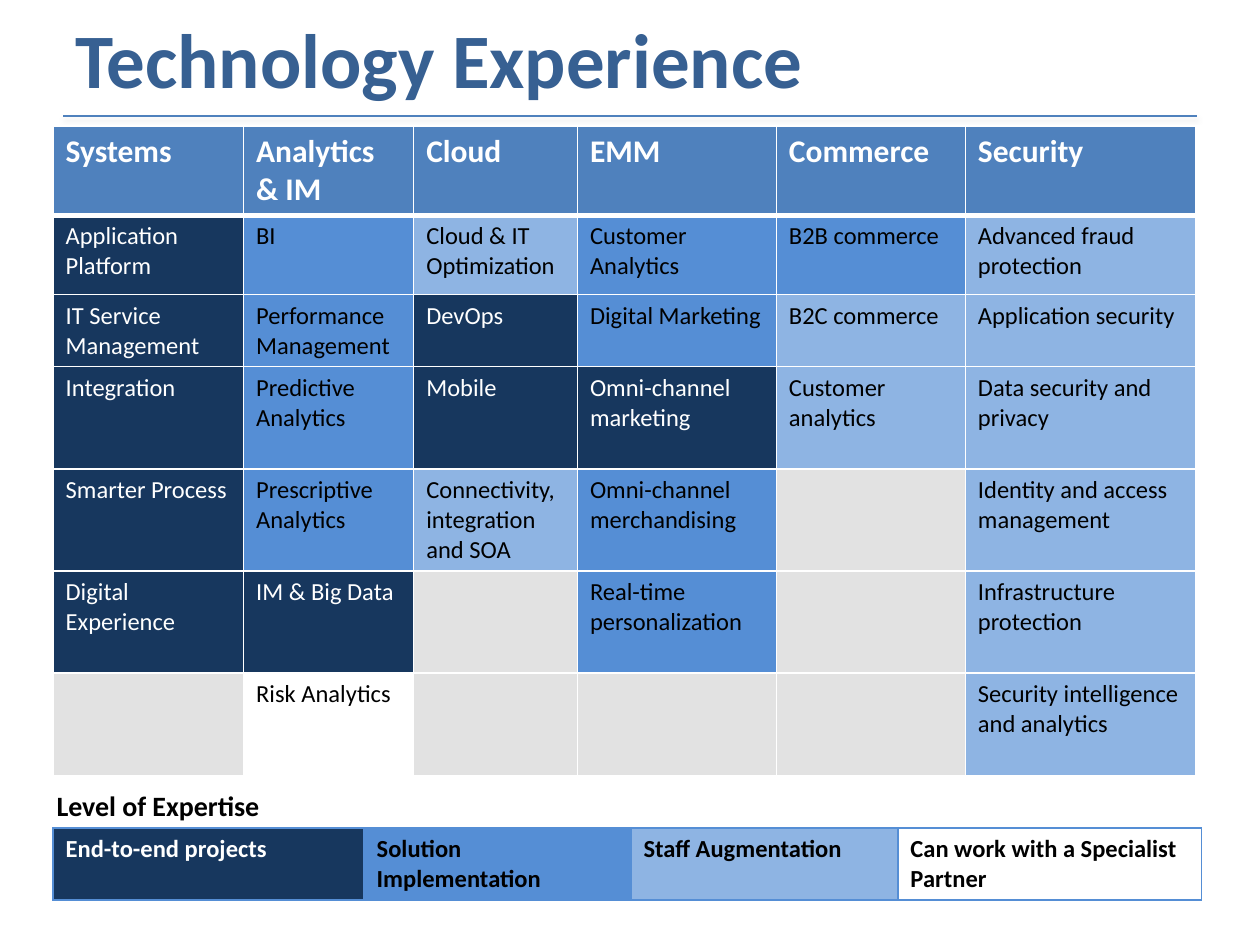
"""Build the Technology Experience slide with its expertise matrix and legend."""
from lxml.etree import SubElement
from pptx import Presentation
from pptx.dml.color import RGBColor
from pptx.enum.shapes import MSO_CONNECTOR
from pptx.enum.text import MSO_ANCHOR, MSO_AUTO_SIZE
from pptx.oxml.ns import qn
from pptx.util import Cm, Pt

COLOURS = {
    "title": "376092",
    "rule": "4F81BD",
    "header": "4F81BD",
    "project": "17375E",
    "solution": "558ED5",
    "staff": "8EB4E3",
    "partner": "FFFFFF",
    "empty": "E2E2E2",
    "white": "FFFFFF",
    "black": "000000",
}
LIGHT_TEXT = ("header", "project")

HEADINGS = ["Systems", "Analytics & IM", "Cloud", "EMM", "Commerce", "Security"]
SKILLS = [
    [("Application Platform", "project"), ("BI", "solution"),
     ("Cloud & IT Optimization", "staff"), ("Customer Analytics", "solution"),
     ("B2B commerce", "solution"), ("Advanced fraud protection", "staff")],
    [("IT Service Management", "project"), ("Performance Management", "solution"),
     ("DevOps", "project"), ("Digital Marketing", "solution"),
     ("B2C commerce", "staff"), ("Application security", "staff")],
    [("Integration", "project"), ("Predictive Analytics", "solution"),
     ("Mobile", "project"), ("Omni-channel marketing", "project"),
     ("Customer analytics", "staff"), ("Data security and privacy", "staff")],
    [("Smarter Process", "project"), ("Prescriptive Analytics", "solution"),
     ("Connectivity, integration and SOA", "staff"),
     ("Omni-channel merchandising", "solution"),
     ("", "empty"), ("Identity and access management", "staff")],
    [("Digital Experience", "project"), ("IM & Big Data", "project"),
     ("", "empty"), ("Real-time personalization", "solution"),
     ("", "empty"), ("Infrastructure protection", "staff")],
    [("", "empty"), ("Risk Analytics", "partner"), ("", "empty"),
     ("", "empty"), ("", "empty"), ("Security intelligence and analytics", "staff")],
]
LEGEND = [
    ("End-to-end projects", "project"),
    ("Solution Implementation", "solution"),
    ("Staff Augmentation", "staff"),
    ("Can work with a Specialist Partner", "partner"),
]
TABLES = [
    {
        "rows": [[(heading, "header") for heading in HEADINGS]] + SKILLS,
        "left": 1.07, "top": 2.54,
        "widths": [3.84, 3.43, 3.3, 4.01, 3.81, 4.65],
        "heights": [1.8, 1.6, 1.45] + [2.06] * 4,
        "border": "white", "bold": False,
    },
    {
        "rows": [LEGEND],
        "left": 1.07, "top": 16.69,
        "widths": [6.27, 5.38, 5.38, 6.12],
        "heights": [1.45],
        "border": "solution", "bold": True,
    },
]
TEXTS = [
    {"text": "Technology Experience", "at": (1.27, 0, 22.86, 2.34),
     "size": 44, "colour": "title",
     "frame": {"word_wrap": True, "vertical_anchor": MSO_ANCHOR.MIDDLE}},
    {"text": "Level of Expertise", "at": (0.89, 15.77, 4.67, 0.94),
     "size": 16, "colour": "black",
     "frame": {"word_wrap": False, "auto_size": MSO_AUTO_SIZE.SHAPE_TO_FIT_TEXT}},
]


def write_text(para, text, size, colour, bold):
    span = para.add_run()
    span.text = text
    for name, value in {"name": "Calibri", "size": Pt(size), "bold": bold}.items():
        setattr(span.font, name, value)
    span.font.color.rgb = RGBColor.from_string(COLOURS[colour])


def draw_borders(cell, colour, bottom_width):
    properties = cell._tc.get_or_add_tcPr()
    for side, width in {"L": 1, "R": 1, "T": 1, "B": bottom_width}.items():
        line = SubElement(properties, qn(f"a:ln{side}"), w=str(Pt(width)))
        fill = SubElement(line, qn("a:solidFill"))
        SubElement(fill, qn("a:srgbClr"), val=COLOURS[colour])


deck = Presentation()
deck.slide_width, deck.slide_height = Cm(25.4), Cm(19.05)
page = deck.slides.add_slide(deck.slide_layouts[6])

rule = page.shapes.add_connector(
    MSO_CONNECTOR.STRAIGHT, Cm(1.27), Cm(2.34), Cm(24.13), Cm(2.34))
rule.line.width = Pt(0.75)
rule.line.color.rgb = RGBColor.from_string(COLOURS["rule"])

for item in TEXTS:
    box = page.shapes.add_textbox(*map(Cm, item["at"]))
    for name, value in item["frame"].items():
        setattr(box.text_frame, name, value)
    write_text(box.text_frame.paragraphs[0], item["text"],
               item["size"], item["colour"], True)

for layout in TABLES:
    rows, widths, heights = layout["rows"], layout["widths"], layout["heights"]
    table = page.shapes.add_table(
        len(rows), len(widths), Cm(layout["left"]), Cm(layout["top"]),
        Cm(sum(widths)), Cm(sum(heights))).table
    for column, width in zip(table.columns, widths):
        column.width = Cm(width)
    for row, height, entries in zip(table.rows, heights, rows):
        row.height = Cm(height)
        for cell, (text, level) in zip(row.cells, entries):
            is_header = level == "header"
            draw_borders(cell, layout["border"], 3 if is_header else 1)
            cell.fill.solid()
            cell.fill.fore_color.rgb = RGBColor.from_string(COLOURS[level])
            if text:
                write_text(cell.text_frame.paragraphs[0], text,
                           18 if is_header else 14,
                           "white" if level in LIGHT_TEXT else "black",
                           is_header or layout["bold"])

deck.save("out.pptx")
